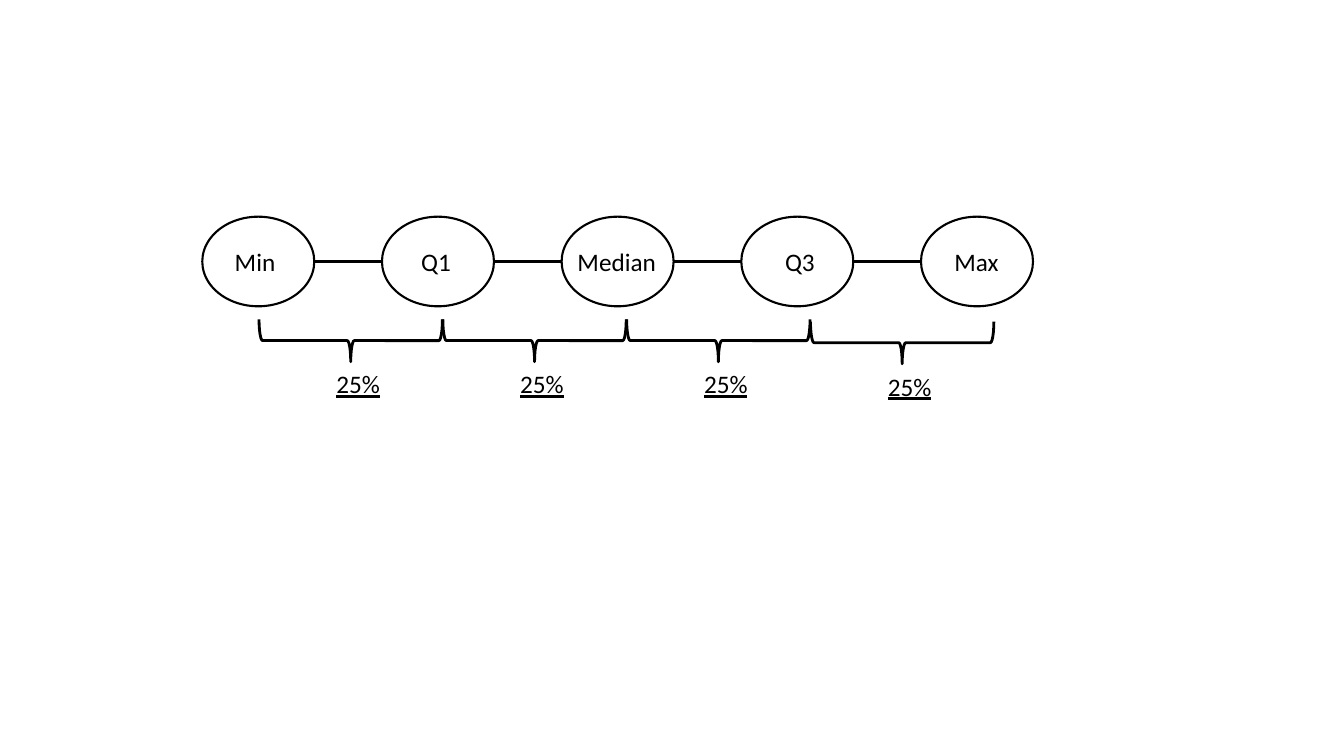
from lxml.etree import SubElement
from pptx import Presentation
from pptx.dml.color import RGBColor
from pptx.enum.shapes import MSO_CONNECTOR, MSO_SHAPE
from pptx.enum.text import MSO_AUTO_SIZE
from pptx.oxml.ns import qn
from pptx.util import Pt

BLACK = "000000"
NODES = [
    ("Min", 160.6, 47.5),
    ("Q1", 293.8, 47.5),
    ("Median", 405.4, 71.3),
    ("Q3", 553.7, 47.5),
    ("Max", 674.6, 46),
]
NODE_LEFT, NODE_TOP, NODE_W, NODE_H, NODE_PITCH = 144.5, 154.8, 80, 64, 128.35
BRACE_LEFT, BRACE_TOP, BRACE_W, BRACE_H, BRACE_PITCH = 235.4, 177.8, 30.2, 131, 131.3
BRACE_DROPS = [0, 0, 0, 1.5]


def color(value):
    return RGBColor.from_string(value)


def add_text(s, text, x, y, w, h=28.8, size=18, underline=None, wrap=False):
    tf = s.shapes.add_textbox(Pt(x), Pt(y), Pt(w), Pt(h)).text_frame
    tf.word_wrap = wrap
    tf.auto_size = MSO_AUTO_SIZE.SHAPE_TO_FIT_TEXT
    r = tf.paragraphs[0].add_run()
    r.text = text
    r.font.name = "Calibri"
    r.font.size = Pt(size)
    r.font.underline = underline
    r.font.color.rgb = color(BLACK)


def add_outline(s, kind, x, y, w, h, width, rotation=0):
    sp = s.shapes.add_shape(kind, Pt(x), Pt(y), Pt(w), Pt(h))
    sp.shadow.inherit = False
    sp.fill.background()
    sp.line.color.rgb = color(BLACK)
    sp.line.width = Pt(width)
    sp.rotation = rotation


def add_line(s, x1, x2, y, width=2.5):
    line = s.shapes.add_connector(MSO_CONNECTOR.STRAIGHT, Pt(x1), Pt(y), Pt(x2), Pt(y))
    line.line.color.rgb = color(BLACK)
    line.line.width = Pt(width)
    SubElement(line._element.spPr, qn("a:effectLst"))


def main():
    prs = Presentation()
    prs.slide_width, prs.slide_height = Pt(960), Pt(540)
    s = prs.slides.add_slide(prs.slide_layouts[6])

    for i, (name, text_left, text_w) in enumerate(NODES):
        x = NODE_LEFT + i * NODE_PITCH
        add_outline(s, MSO_SHAPE.OVAL, x, NODE_TOP, NODE_W, NODE_H, 1.5)
        add_text(s, name, text_left, 172.1, text_w, wrap=name != "Max")

    for i in range(len(NODES) - 1):
        x = NODE_LEFT + i * NODE_PITCH
        add_line(s, x + NODE_W, x + NODE_PITCH, NODE_TOP + NODE_H / 2)

    for i, drop in enumerate(BRACE_DROPS):
        x = BRACE_LEFT + i * BRACE_PITCH
        add_text(s, "25%", x - 2.2, 259.9 + drop, 46, underline=True)
        add_outline(s, MSO_SHAPE.RIGHT_BRACE, x, BRACE_TOP + drop, BRACE_W, BRACE_H, 2, rotation=90)

    prs.save("out.pptx")


if __name__ == "__main__":
    main()
